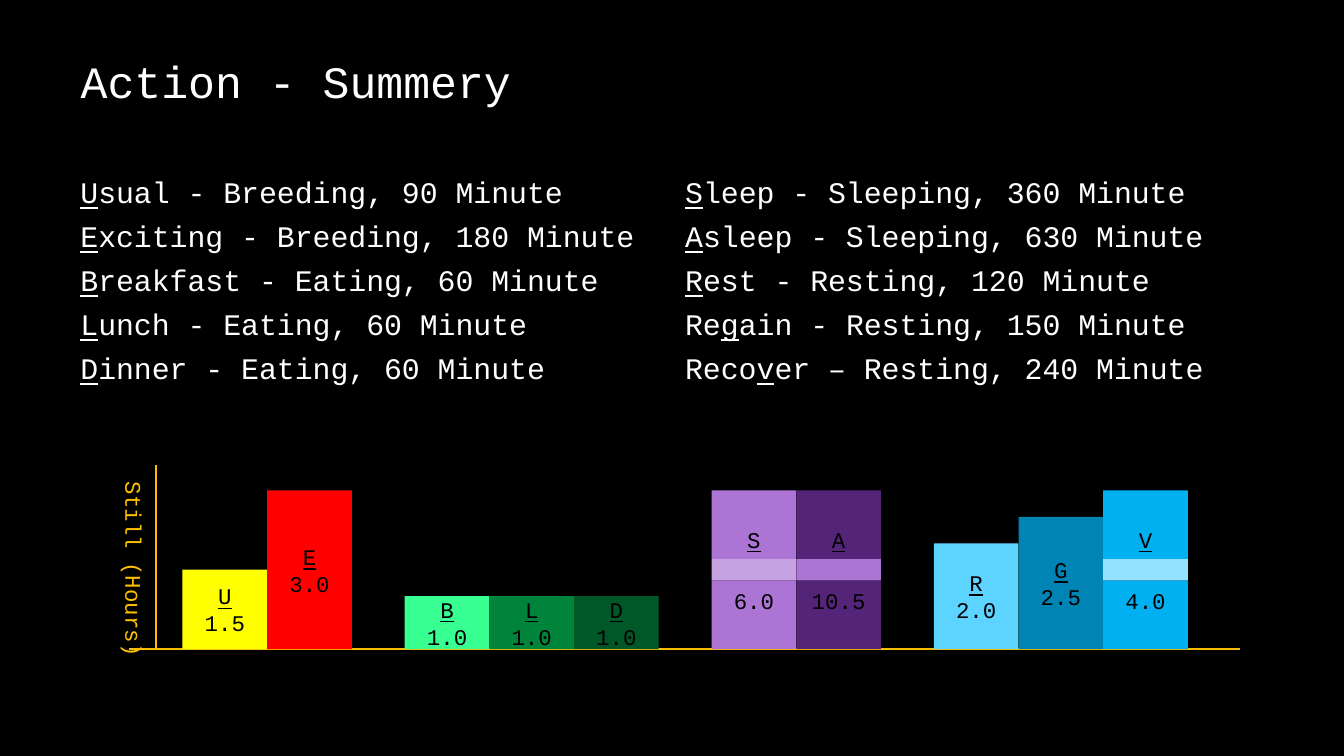
import pptx
import pptx.util
import pptx.dml.color
import pptx.enum.shapes
import pptx.enum.text
import lxml.etree

Cm = pptx.util.Cm
Pt = pptx.util.Pt
RGB = pptx.dml.color.RGBColor
ANCHOR = pptx.enum.text.MSO_ANCHOR
ALIGN = pptx.enum.text.PP_ALIGN
RECT = pptx.enum.shapes.MSO_SHAPE.RECTANGLE
STRAIGHT = pptx.enum.shapes.MSO_CONNECTOR.STRAIGHT

BLACK = RGB(0x00, 0x00, 0x00)
WHITE = RGB(0xFF, 0xFF, 0xFF)
AXIS = RGB(0xF9, 0xBC, 0x00)
AXIS_TEXT = RGB(0xFF, 0xC0, 0x00)
YELLOW = RGB(0xFF, 0xFF, 0x00)
RED = RGB(0xFF, 0x00, 0x00)
MINT = RGB(0x37, 0xFF, 0x92)
GREEN = RGB(0x00, 0x84, 0x3C)
DARK_GREEN = RGB(0x00, 0x58, 0x28)
LILAC = RGB(0xAB, 0x74, 0xD5)
PALE_LILAC = RGB(0xC7, 0xA2, 0xE3)
PURPLE = RGB(0x54, 0x24, 0x78)
SKY = RGB(0x5D, 0xD4, 0xFF)
TEAL = RGB(0x00, 0x84, 0xB4)
BLUE = RGB(0x00, 0xB0, 0xF0)
PALE_BLUE = RGB(0x93, 0xE2, 0xFF)


def add_run(p, text, size, color, underline=False):
    r = p.add_run()
    r.text = text
    fmt = {"name": "Courier New", "size": Pt(size), "bold": False, "underline": underline}
    for key, value in fmt.items():
        setattr(r.font, key, value)
    r.font.color.rgb = color


def add_block(x, y, height, fill, lines=(), anchor=ANCHOR.MIDDLE):
    sp = s.shapes.add_shape(RECT, Cm(x), Cm(y), Cm(BAR_WIDTH), Cm(height))
    sp.shadow.inherit = False
    sp.fill.solid()
    sp.fill.fore_color.rgb = fill
    sp.line.fill.background()
    tf = sp.text_frame
    tf.vertical_anchor = anchor
    for i, line in enumerate(lines):
        p = tf.add_paragraph() if i else tf.paragraphs[0]
        p.alignment = ALIGN.CENTER
        add_run(p, line, 12, BLACK, line.isalpha())


prs = pptx.Presentation()
prs.slide_width = Cm(25.4)
prs.slide_height = Cm(14.29)
s = prs.slides.add_slide(prs.slide_layouts[5])
s.background.fill.solid()
s.background.fill.fore_color.rgb = BLACK

title = s.shapes.title
place = {"left": Cm(1.27), "top": Cm(0.84), "width": Cm(22.86), "height": Cm(1.37)}
for key, value in place.items():
    setattr(title, key, value)
title.text_frame.vertical_anchor = ANCHOR.MIDDLE
p = title.text_frame.paragraphs[0]
p.alignment = ALIGN.LEFT
add_run(p, "Action - Summery", 24, WHITE)

columns = [
    [
        ("", "U", "sual - Breeding, 90 Minute"),
        ("", "E", "xciting - Breeding, 180 Minute"),
        ("", "B", "reakfast - Eating, 60 Minute"),
        ("", "L", "unch - Eating, 60 Minute"),
        ("", "D", "inner - Eating, 60 Minute"),
    ],
    [
        ("", "S", "leep - Sleeping, 360 Minute"),
        ("", "A", "sleep - Sleeping, 630 Minute"),
        ("", "R", "est - Resting, 120 Minute"),
        ("Re", "g", "ain - Resting, 150 Minute"),
        ("Reco", "v", "er – Resting, 240 Minute"),
    ],
]
for col, actions in enumerate(columns):
    sp = s.shapes.add_textbox(Cm(1.27 + 11.43 * col), Cm(3.15), Cm(11.43), Cm(4.8))
    tf = sp.text_frame
    tf.word_wrap = True
    for i, (before, key, after) in enumerate(actions):
        p = tf.add_paragraph() if i else tf.paragraphs[0]
        p.space_before = Pt(4.4)
        if before:
            add_run(p, before, 16, WHITE)
        add_run(p, key, 16, WHITE, True)
        add_run(p, after, 16, WHITE)

BASE = 12.27
BAR_WIDTH = 1.6
GROUP_GAP = 1.0
CM_PER_HOUR = 1.0
BREAK_HEIGHT = 0.4
FULL_HEIGHT = 3.0

for x1, y1, x2, y2 in [(2.44, BASE, 23.44, BASE), (2.95, BASE, 2.95, 8.79)]:
    axis = s.shapes.add_connector(STRAIGHT, Cm(x1), Cm(y1), Cm(x2), Cm(y2))
    axis.line.color.rgb = AXIS
    axis.line.width = Pt(0.75)
    lxml.etree.SubElement(axis._element.spPr, pptx.oxml.ns.qn("a:effectLst"))

groups = [
    [("U", 1.5, YELLOW, None), ("E", 3.0, RED, None)],
    [("B", 1.0, MINT, None), ("L", 1.0, GREEN, None), ("D", 1.0, DARK_GREEN, None)],
    [("S", 6.0, LILAC, PALE_LILAC), ("A", 10.5, PURPLE, LILAC)],
    [("R", 2.0, SKY, None), ("G", 2.5, TEAL, None), ("V", 4.0, BLUE, PALE_BLUE)],
]
x = 3.45
for group in groups:
    for key, hours, fill, break_fill in group:
        label = f"{hours:.1f}"
        if break_fill is None:
            height = hours * CM_PER_HOUR
            add_block(x, BASE - height, height, fill, [key, label])
        else:
            half = (FULL_HEIGHT - BREAK_HEIGHT) / 2
            top = BASE - FULL_HEIGHT
            add_block(x, top, half, fill, [key], ANCHOR.BOTTOM)
            add_block(x, BASE - half, half, fill, [label], ANCHOR.TOP)
            add_block(x, top + half, BREAK_HEIGHT, break_fill)
        x += BAR_WIDTH
    x += GROUP_GAP

sp = s.shapes.add_textbox(Cm(1.9), Cm(8.86), Cm(1.02), Cm(3.33))
tf = sp.text_frame
tf.word_wrap = False
tf.auto_size = pptx.enum.text.MSO_AUTO_SIZE.SHAPE_TO_FIT_TEXT
tf._txBody.bodyPr.set("vert", "eaVert")
p = tf.paragraphs[0]
p.alignment = ALIGN.CENTER
add_run(p, "Still (Hours)", 12, AXIS_TEXT)

prs.save("out.pptx")
